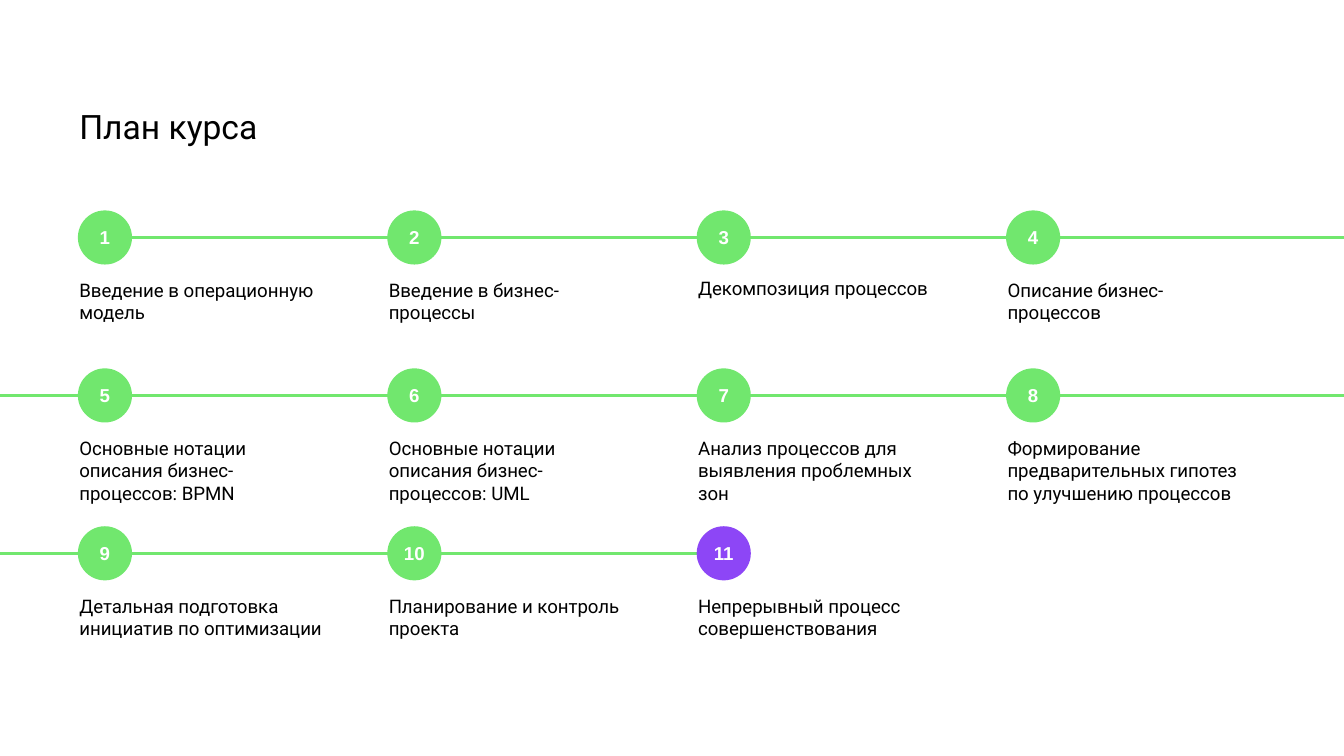
from lxml import etree
from pptx import Presentation
from pptx import util as u
from pptx.dml import color
from pptx.enum import shapes, text
from pptx.oxml import ns

Pt = u.Pt
WIDTH, HEIGHT = 720, 405
GREEN, PURPLE, BLACK, WHITE = "71E76E", "8D46F6", "000000", "FFFFFF"
DIAMETER = 27.5
COLUMN_STEP, ROW_STEP = 165.75, 84.6
LABEL_OFFSET, LABEL_WIDTH, LABEL_HEIGHT = 28.6, 137.5, 26.5

ROWS = [
    ["Введение в операционную модель", "Введение в бизнес-процессы",
     "Декомпозиция процессов", "Описание бизнес-процессов"],
    ["Основные нотации описания бизнес-процессов: BPMN",
     "Основные нотации описания бизнес-процессов: UML",
     "Анализ процессов для выявления проблемных зон",
     "Формирование предварительных гипотез по улучшению процессов"],
    ["Детальная подготовка инициатив по оптимизации",
     "Планирование и контроль проекта",
     "Непрерывный процесс совершенствования"],
]


def paint(target, value):
    target.rgb = color.RGBColor.from_string(value)


def write(shape, content, size, font_name, font_color, margins=(0, 0, 0, 0)):
    frame = shape.text_frame
    frame.word_wrap = True
    (frame.margin_left, frame.margin_top,
     frame.margin_right, frame.margin_bottom) = map(Pt, margins)
    paragraph = frame.paragraphs[0]
    paragraph.text = content
    paragraph.font.size = Pt(size)
    paragraph.font.name = font_name
    paint(paragraph.font.color, font_color)
    return paragraph


def add_title(slide, left, top, width, height):
    shape = slide.shapes.add_textbox(Pt(left), Pt(top), Pt(width), Pt(height))
    write(shape, "План курса", 18, "Roboto", BLACK)


def add_line(slide, start, end, y):
    connector = slide.shapes.add_connector(
        shapes.MSO_CONNECTOR.STRAIGHT, Pt(start), Pt(y), Pt(end), Pt(y))
    paint(connector.line.color, GREEN)
    connector.line.width = Pt(1.5)
    etree.SubElement(connector._element.spPr, ns.qn("a:effectLst"))


def add_step(slide, left, top, number, label, fill):
    circle = slide.shapes.add_shape(
        shapes.MSO_SHAPE.OVAL, Pt(left), Pt(top), Pt(DIAMETER), Pt(DIAMETER))
    circle.shadow.inherit = False
    circle.fill.solid()
    paint(circle.fill.fore_color, fill)
    paint(circle.line.color, fill)
    circle.line.width = Pt(1.5)
    circle.text_frame.vertical_anchor = text.MSO_ANCHOR.MIDDLE
    paragraph = write(circle, str(number), 10, "Arial", WHITE)
    paragraph.font.bold = True
    paragraph.alignment = text.PP_ALIGN.CENTER

    caption = slide.shapes.add_textbox(
        Pt(left), Pt(top + LABEL_OFFSET), Pt(LABEL_WIDTH), Pt(LABEL_HEIGHT))
    write(caption, label, 10, "Roboto", BLACK, (0, 7.2, 7.2, 7.2))


def add_timeline(slide, left, top):
    total = sum(map(len, ROWS))
    number = 0
    for row, labels in enumerate(ROWS):
        row_top = top + row * ROW_STEP
        lefts = [left + column * COLUMN_STEP for column in range(len(labels))]
        starts = [x + DIAMETER for x in lefts]
        ends = lefts[1:]
        if row > 0:
            starts.insert(0, 0)
            ends.insert(0, left)
        if row < len(ROWS) - 1:
            ends.append(WIDTH)
        for start, end in zip(starts, ends):
            add_line(slide, start, end, row_top + DIAMETER / 2)
        for x, label in zip(lefts, labels):
            number += 1
            fill = PURPLE if number == total else GREEN
            add_step(slide, x, row_top, number, label, fill)


def main():
    presentation = Presentation()
    presentation.slide_width, presentation.slide_height = Pt(WIDTH), Pt(HEIGHT)
    slide = presentation.slides.add_slide(presentation.slide_layouts[6])
    add_title(slide, 42.5, 56.9, 635, 25)
    add_timeline(slide, 42.5, 113.5)
    presentation.save("out.pptx")


if __name__ == "__main__":
    main()
